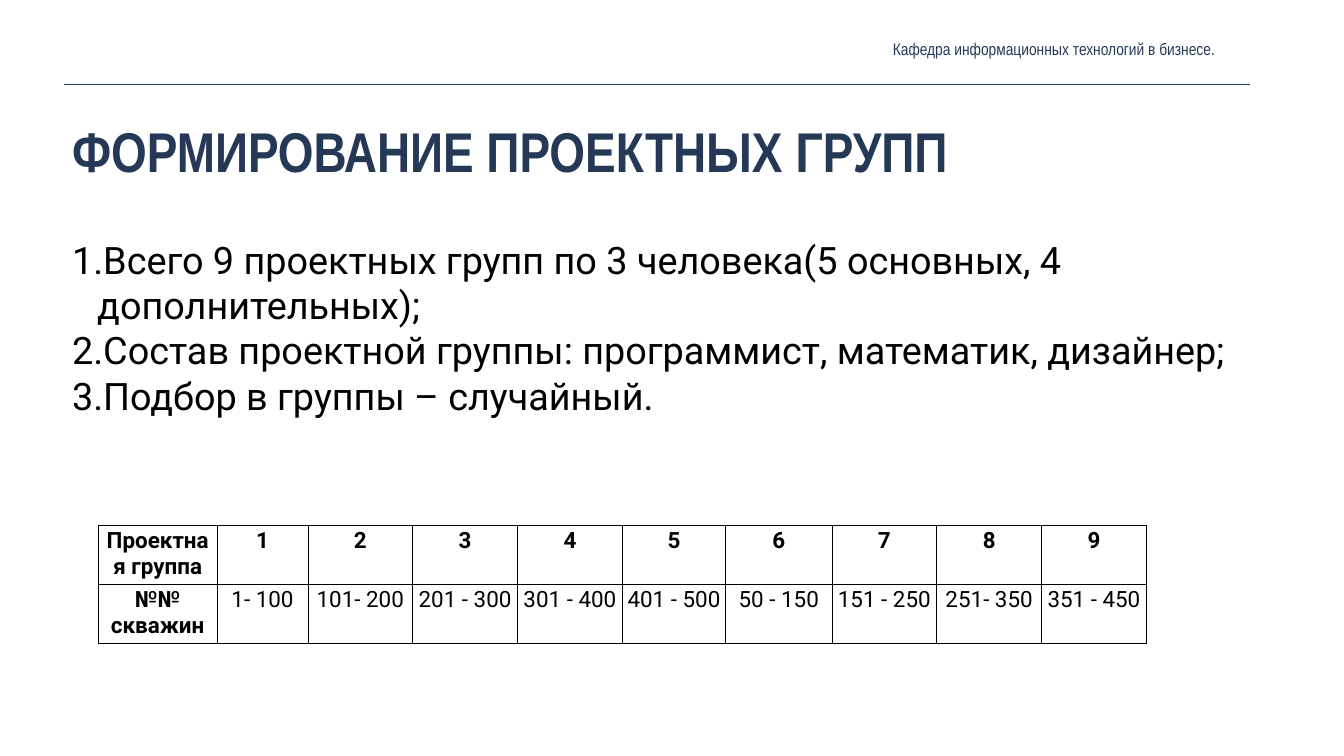
from lxml.etree import SubElement
from pptx import Presentation
from pptx.dml.color import RGBColor
from pptx.enum.shapes import MSO_CONNECTOR
from pptx.enum.text import MSO_ANCHOR, MSO_AUTO_SIZE, PP_ALIGN
from pptx.oxml.ns import qn
from pptx.util import Inches, Pt

# Content
TITLE = "ФОРМИРОВАНИЕ ПРОЕКТНЫХ ГРУПП"
DEPARTMENT = "Кафедра информационных технологий в бизнесе."
RULES = [
    "Всего 9 проектных групп по 3 человека(5 основных, 4 дополнительных);",
    "Состав проектной группы: программист, математик, дизайнер;",
    "Подбор в группы – случайный.",
]
GROUPS = ["Проектная группа"] + [str(number) for number in range(1, 10)]
WELLS = ["№№ скважин", "1- 100", "101- 200", "201 - 300", "301 - 400",
         "401 - 500", "50 - 150", "151 - 250", "251- 350", "351 - 450"]
COLUMN_WIDTHS = [2.36, 1.8, 2.08, 2.08, 2.08, 2.05, 2.11, 2.08, 2.08, 2.08]
ROW_HEIGHT = 1.17

NAVY = RGBColor(0x25, 0x39, 0x57)
BLACK = RGBColor(0, 0, 0)
HEADING_FONT = "Arial Narrow"
BODY_FONT = "Roboto"


def format_text(paragraph, font_name, size, color, bold=False, align=PP_ALIGN.LEFT):
    paragraph.alignment = align
    for run in paragraph.runs:
        run.font.name = font_name
        run.font.size = Pt(size)
        run.font.color.rgb = color
        run.font.bold = bold


def set_frame(text_frame, anchor):
    text_frame.word_wrap = True
    text_frame.auto_size = MSO_AUTO_SIZE.NONE
    text_frame.vertical_anchor = anchor
    text_frame.margin_left = text_frame.margin_right = Inches(0.08)
    text_frame.margin_top = text_frame.margin_bottom = Inches(0.08)


def add_text(slide, left, top, width, height, anchor):
    box = slide.shapes.add_textbox(Inches(left), Inches(top), Inches(width), Inches(height))
    set_frame(box.text_frame, anchor)
    return box.text_frame


def number_paragraph(paragraph):
    properties = paragraph._p.get_or_add_pPr()
    properties.set("marL", str(Inches(0.5)))
    properties.set("indent", str(-Inches(0.5)))
    SubElement(properties, qn("a:buFont"), typeface=BODY_FONT)
    SubElement(properties, qn("a:buAutoNum"), type="arabicPeriod")


def add_borders(cell):
    properties = cell._tc.get_or_add_tcPr()
    for position, side in enumerate(("a:lnL", "a:lnR", "a:lnT", "a:lnB")):
        border = properties.makeelement(qn(side), {"w": str(Pt(1))})
        fill = SubElement(border, qn("a:solidFill"))
        SubElement(fill, qn("a:srgbClr"), val=str(BLACK))
        properties.insert(position, border)


presentation = Presentation()
presentation.slide_width = Inches(26.67)
presentation.slide_height = Inches(15)
slide = presentation.slides.add_slide(presentation.slide_layouts[5])

# Title
title = slide.shapes.title
title.left, title.top = Inches(1.35), Inches(2.24)
title.width, title.height = Inches(23.52), Inches(1.61)
title.text_frame.text = TITLE
set_frame(title.text_frame, MSO_ANCHOR.TOP)
format_text(title.text_frame.paragraphs[0], HEADING_FONT, 80, NAVY, bold=True)

# Header line and department name
header_line = slide.shapes.add_connector(
    MSO_CONNECTOR.STRAIGHT, Inches(1.28), Inches(1.68), Inches(24.8), Inches(1.68))
header_line.line.color.rgb = NAVY
header_line.line.width = Pt(1)
SubElement(header_line._element.spPr, qn("a:effectLst"))

department = add_text(slide, 11.76, 0.69, 12.43, 0.56, MSO_ANCHOR.MIDDLE)
department.text = DEPARTMENT
format_text(department.paragraphs[0], HEADING_FONT, 24, NAVY, align=PP_ALIGN.RIGHT)

# Numbered rules
rules = add_text(slide, 1.35, 4.61, 23.44, 4.2, MSO_ANCHOR.TOP)
rules.text = "\n".join(RULES)
for paragraph in rules.paragraphs:
    format_text(paragraph, BODY_FONT, 54, BLACK)
    number_paragraph(paragraph)

# Table of groups and wells
rows = [GROUPS, WELLS]
table = slide.shapes.add_table(
    len(rows), len(GROUPS), Inches(1.95), Inches(10.42),
    Inches(sum(COLUMN_WIDTHS)), Inches(ROW_HEIGHT * len(rows))).table
table.first_row = table.horz_banding = False
for column, width in zip(table.columns, COLUMN_WIDTHS):
    column.width = Inches(width)
for row_index, texts in enumerate(rows):
    for column_index, text in enumerate(texts):
        cell = table.cell(row_index, column_index)
        cell.text = text
        cell.fill.background()
        add_borders(cell)
        is_heading = row_index == 0 or column_index == 0
        format_text(cell.text_frame.paragraphs[0], BODY_FONT, 32, BLACK,
                    bold=is_heading, align=PP_ALIGN.CENTER)

presentation.save("out.pptx")
